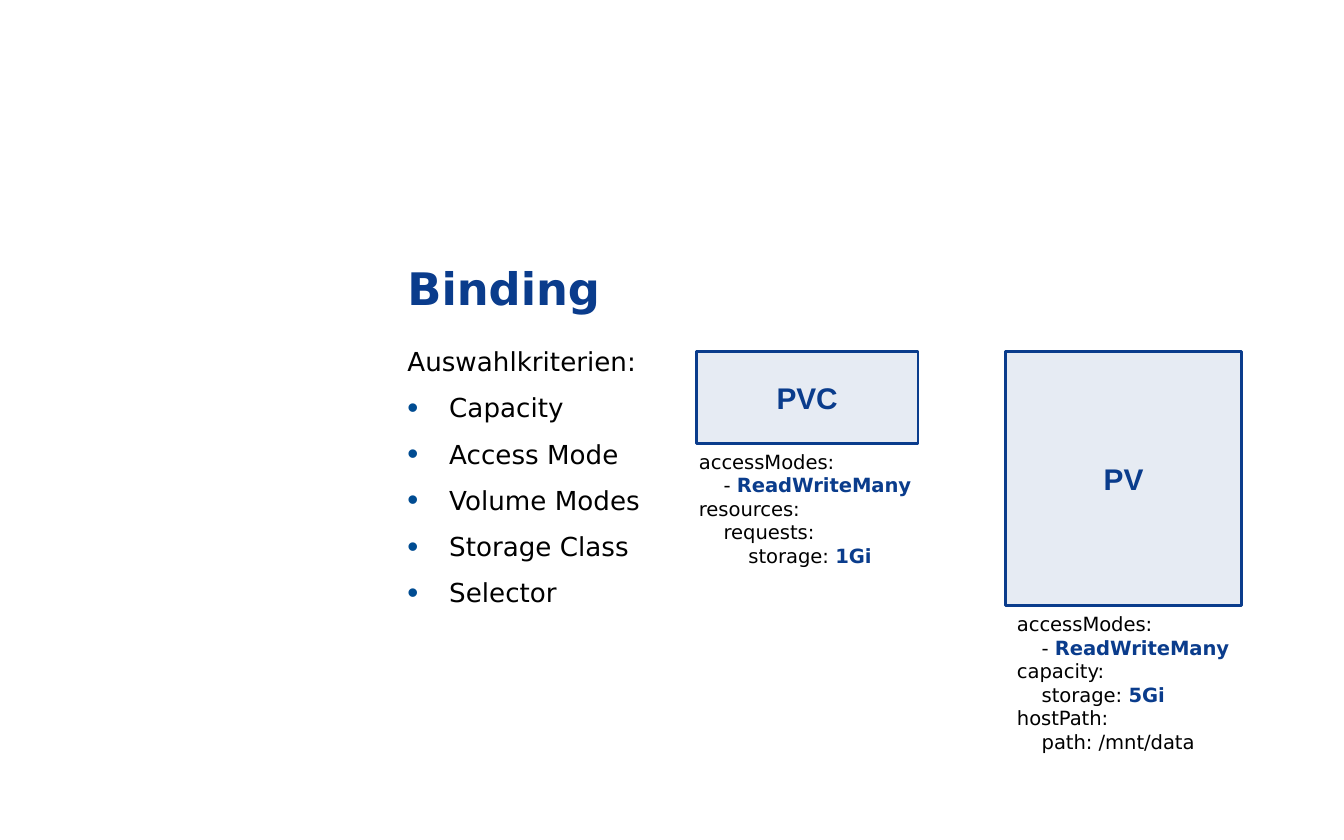
from lxml import etree
from pptx import Presentation
from pptx.dml.color import RGBColor
from pptx.enum.shapes import MSO_SHAPE
from pptx.enum.text import MSO_ANCHOR, PP_ALIGN
from pptx.oxml.ns import qn
from pptx.util import Cm, Pt

RECTANGLE = MSO_SHAPE.RECTANGLE
TOP, MIDDLE, BOTTOM = MSO_ANCHOR.TOP, MSO_ANCHOR.MIDDLE, MSO_ANCHOR.BOTTOM
CENTER = PP_ALIGN.CENTER

BODY_FONT, BOX_FONT = "DejaVu Sans", "Arial"
BLUE, BULLET_BLUE, BLACK = "0A3C8C", "004C92", "000000"

CRITERIA = ["Capacity", "Access Mode", "Volume Modes", "Storage Class", "Selector"]
# Each line: plain part, highlighted part
PVC_YAML = [
    ("accessModes:", ""),
    ("    - ", "ReadWriteMany"),
    ("resources:", ""),
    ("    requests:", ""),
    ("        storage: ", "1Gi"),
]
PV_YAML = [
    ("accessModes:", ""),
    ("    - ", "ReadWriteMany"),
    ("capacity:", ""),
    ("    storage: ", "5Gi"),
    ("hostPath:", ""),
    ("    path: /mnt/data", ""),
]


def rgb(hex_color):
    return RGBColor.from_string(hex_color)


def format_run(run, size, color=BLACK, bold=False, font=BODY_FONT):
    run.font.name = font
    run.font.size = Pt(size)
    run.font.bold = bold
    run.font.color.rgb = rgb(color)


def add_frame(slide, box, anchor=TOP):
    frame = slide.shapes.add_textbox(*map(Cm, box)).text_frame
    frame.word_wrap = True
    frame.vertical_anchor = anchor
    return frame


def clear_margins(frame, bottom=0):
    frame.margin_left = frame.margin_top = frame.margin_right = 0
    frame.margin_bottom = Cm(bottom)


def add_bullet(paragraph):
    properties = paragraph._p.get_or_add_pPr()
    properties.set("marL", str(Cm(0.79)))
    properties.set("indent", str(-Cm(0.79)))
    color = etree.SubElement(properties, qn("a:buClr"))
    etree.SubElement(color, qn("a:srgbClr"), val=BULLET_BLUE)
    etree.SubElement(properties, qn("a:buSzPct"), val="120000")
    etree.SubElement(properties, qn("a:buFont"), typeface=BOX_FONT)
    etree.SubElement(properties, qn("a:buChar"), char="•")


def build_title(slide, box):
    frame = add_frame(slide, box, BOTTOM)
    clear_margins(frame, bottom=0.6)
    frame.text = "Binding"
    heading = frame.paragraphs[0]
    heading.line_spacing = 0.9
    format_run(heading.runs[0], 24, BLUE, True)


def build_criteria(slide, box):
    frame = add_frame(slide, box)
    clear_margins(frame)
    frame.text = "\n".join(["Auswahlkriterien:", *CRITERIA])
    intro, *criteria = frame.paragraphs
    format_run(intro.runs[0], 14)
    for criterion in criteria:
        criterion.space_before = Pt(8)
        add_bullet(criterion)
        format_run(criterion.runs[0], 14)


def build_resource(slide, box, label, yaml_lines, yaml_offset):
    left, top, width, height = box

    # Tinted block with the resource name
    block = slide.shapes.add_shape(RECTANGLE, *map(Cm, box))
    block.shadow.inherit = False
    block.fill.solid()
    block.fill.fore_color.rgb = rgb(BLUE)
    tint = block.fill._xPr.find(qn("a:solidFill")).find(qn("a:srgbClr"))
    etree.SubElement(tint, qn("a:alpha"), val="10000")
    block.line.color.rgb = rgb(BLUE)
    block.line.width = Pt(1.5)
    frame = block.text_frame
    frame.text = label
    frame.vertical_anchor = MIDDLE
    frame.paragraphs[0].alignment = CENTER
    format_run(frame.paragraphs[0].runs[0], 16, BLUE, True, BOX_FONT)

    # YAML excerpt below the block
    yaml_height = 0.25 + 0.45 * len(yaml_lines)
    yaml = add_frame(slide, (left + yaml_offset, top + height, 4.7, yaml_height))
    yaml.text = "\n".join(plain for plain, _ in yaml_lines)
    for paragraph, (_, value) in zip(yaml.paragraphs, yaml_lines):
        format_run(paragraph.runs[0], 10.5)
        if value:
            highlight = paragraph.add_run()
            highlight.text = value
            format_run(highlight, 10.5, BLUE, True)


def main():
    presentation = Presentation()
    presentation.slide_width, presentation.slide_height = Cm(25.4), Cm(15.88)
    slide = presentation.slides.add_slide(presentation.slide_layouts[6])

    build_title(slide, (7.7, 2.95, 16, 3.6))
    build_criteria(slide, (7.7, 6.53, 6.25, 8.2))
    build_resource(slide, (19, 6.65, 4.47, 4.8), "PV", PV_YAML, -0.03)
    build_resource(slide, (13.16, 6.65, 4.19, 1.73), "PVC", PVC_YAML, -0.2)

    presentation.save("out.pptx")


if __name__ == "__main__":
    main()
